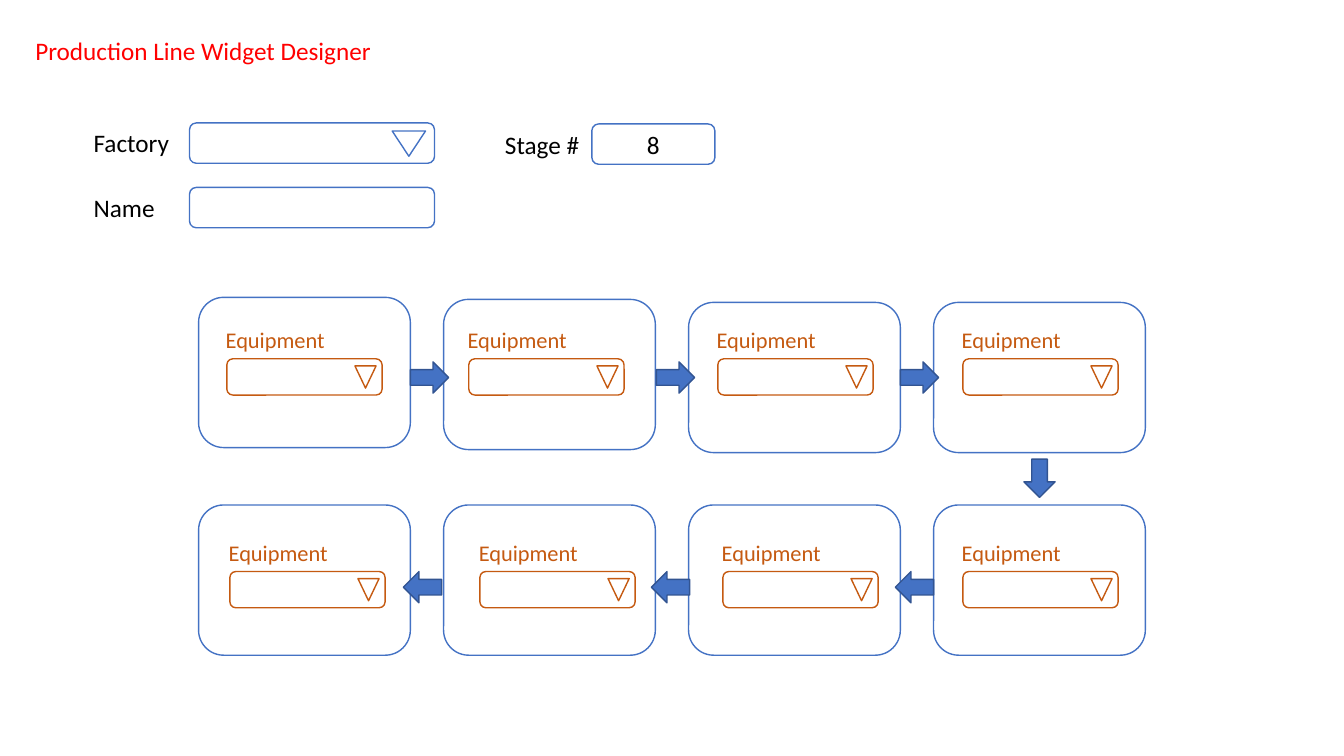
from dataclasses import dataclass

from pptx import Presentation
from pptx.dml.color import RGBColor
from pptx.enum.shapes import MSO_SHAPE as SHAPE
from pptx.enum.text import MSO_ANCHOR as ANCHOR, MSO_AUTO_SIZE as AUTO, PP_ALIGN as ALIGN
from pptx.util import Inches, Pt


@dataclass(frozen=True)
class Theme:
    font: str = "Calibri"
    form_size: int = 18
    equipment_size: int = 16
    line_width: int = 1
    white: str = "FFFFFF"
    black: str = "000000"
    red: str = "FF0000"
    blue: str = "4472C4"
    dark_blue: str = "325491"
    orange: str = "C55A11"


class Designer:
    def __init__(self, slide, theme):
        self.s = slide
        self.theme = theme

    def shape(self, kind, box, line, fill=None, rotation=0, parent=None):
        sp = (parent or self.s).shapes.add_shape(kind, *map(Inches, box))
        sp.shadow.inherit = False
        sp.fill.solid()
        sp.fill.fore_color.rgb = RGBColor.from_string(fill or self.theme.white)
        sp.line.color.rgb = RGBColor.from_string(line)
        sp.line.width = Pt(self.theme.line_width)
        sp.rotation = rotation
        return sp

    def set_text(self, sp, text, size, color, align=ALIGN.LEFT):
        p = sp.text_frame.paragraphs[0]
        p.text = text
        p.alignment = align
        p.font.name = self.theme.font
        p.font.size = Pt(size)
        p.font.color.rgb = RGBColor.from_string(color)

    def fit(self, sp):
        """Make the box hug a single line of text."""
        tf = sp.text_frame
        tf.word_wrap = False
        tf.auto_size = AUTO.SHAPE_TO_FIT_TEXT
        tf.vertical_anchor = ANCHOR.TOP

    def title(self, text, box):
        sp = self.s.shapes.title
        sp.left, sp.top, sp.width, sp.height = map(Inches, box)
        self.fit(sp)
        self.set_text(sp, text, self.theme.form_size, self.theme.red)

    def label(self, text, box, size, color):
        sp = self.s.shapes.add_textbox(*map(Inches, box))
        self.fit(sp)
        self.set_text(sp, text, size, color)

    def form_label(self, text, box):
        self.label(text, box, self.theme.form_size, self.theme.black)

    def field(self, box, text=None):
        sp = self.shape(SHAPE.ROUNDED_RECTANGLE, box, self.theme.blue)
        if text:
            sp.text_frame.vertical_anchor = ANCHOR.MIDDLE
            self.set_text(sp, text, self.theme.form_size, self.theme.black, ALIGN.CENTER)

    def dropdown(self, box, marker, color):
        group = self.s.shapes.add_group_shape()
        self.shape(SHAPE.ROUNDED_RECTANGLE, box, color, parent=group)
        self.shape(SHAPE.ISOSCELES_TRIANGLE, marker, color, rotation=180, parent=group)

    def card(self, left, top):
        self.shape(SHAPE.ROUNDED_RECTANGLE, (left, top, 2.1, 1.49), self.theme.blue)

    def arrow(self, left, top, rotation):
        self.shape(SHAPE.RIGHT_ARROW, (left, top, 0.38, 0.31),
                   self.theme.dark_blue, self.theme.blue, rotation)

    def equipment(self, left, top):
        """Add an orange dropdown with its caption above."""
        color = self.theme.orange
        self.dropdown((left, top, 1.54, 0.36), (left + 1.27, top + 0.07, 0.21, 0.22), color)
        self.label("Equipment", (left - 0.11, top - 0.37, 1.19, 0.37),
                   self.theme.equipment_size, color)


CARD_LEFT, CARD_PITCH = 1.97, 2.43
TOP_ROW_CARD_TOPS = (2.95, 2.97, 3, 3)
BOTTOM_ROW_CARD_TOP = 5.01
ARROWS = (
    (0, 3.59, (4.07, 6.51, 8.93)),
    (90, 4.59, (10.12,)),
    (180, 5.67, (8.88, 6.46, 4)),
)
EQUIPMENT = (
    (3.56, (2.25, 4.65, 7.12, 9.55)),
    (5.67, (9.55, 7.17, 4.76, 2.28)),
)


def main():
    prs = Presentation()
    prs.slide_width, prs.slide_height = Inches(13.33), Inches(7.5)
    theme = Theme()
    d = Designer(prs.slides.add_slide(prs.slide_layouts[5]), theme)

    d.title("Production Line Widget Designer", (0.25, 0.3, 3.57, 0.4))

    for col, top in enumerate(TOP_ROW_CARD_TOPS):
        left = CARD_LEFT + col * CARD_PITCH
        d.card(left, top)
        d.card(left, BOTTOM_ROW_CARD_TOP)
    for rotation, top, lefts in ARROWS:
        for left in lefts:
            d.arrow(left, top, rotation)
    for top, lefts in EQUIPMENT:
        for left in lefts:
            d.equipment(left, top)

    d.form_label("Factory", (0.83, 1.21, 0.96, 0.4))
    d.dropdown((1.88, 1.22, 2.43, 0.4), (3.89, 1.3, 0.33, 0.25), theme.blue)
    d.form_label("Stage #", (4.91, 1.23, 0.95, 0.4))
    d.field((5.87, 1.23, 1.22, 0.4), "8")
    d.form_label("Name", (0.83, 1.86, 0.81, 0.4))
    d.field((1.88, 1.86, 2.43, 0.4))

    prs.save("out.pptx")


if __name__ == "__main__":
    main()
